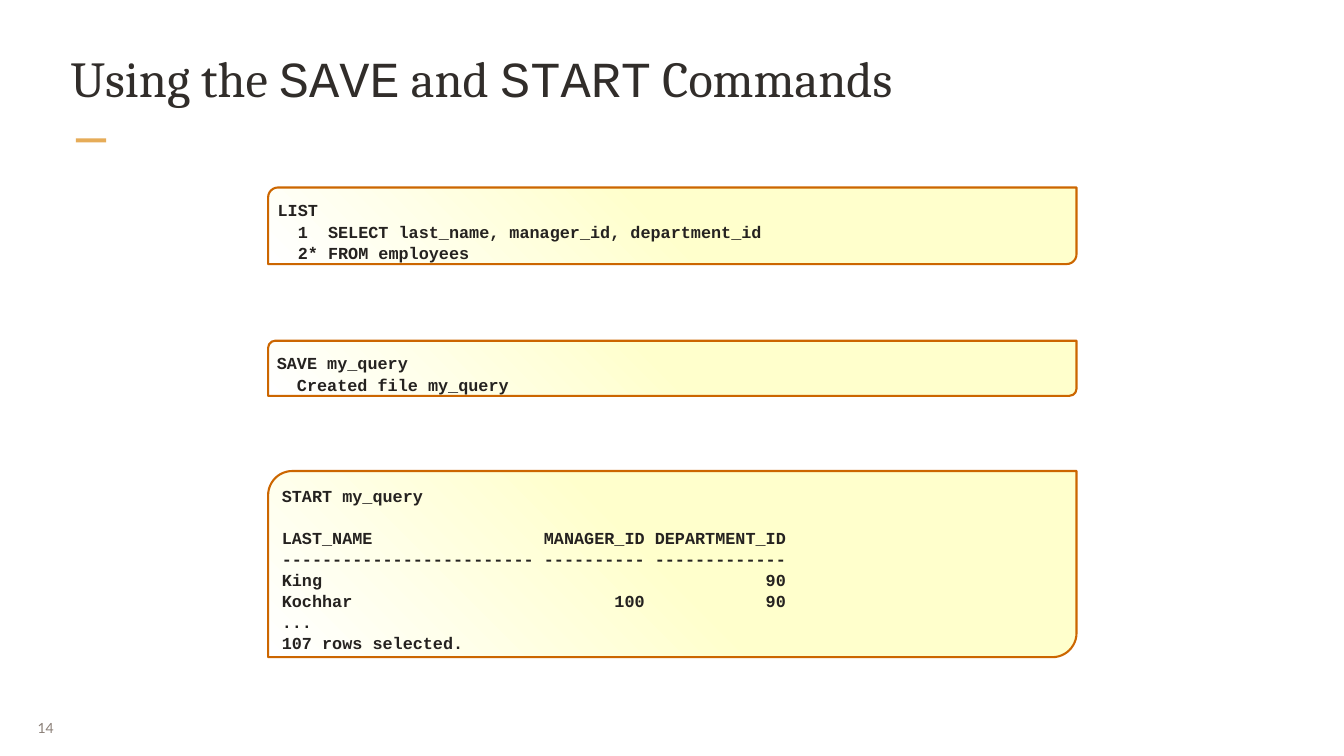
from copy import deepcopy

from pptx import Presentation, util as u
from pptx.dml.color import RGBColor
from pptx.enum import shapes, text

MONO = "Courier New"
SERIF = "Cambria"
INK = "312D2A"

# Code panels: top, height, lines (text, points of space before)
PANELS = [
    (2.79, 1.14, [
        ("LIST", 0),
        ("  1  SELECT last_name, manager_id, department_id", 0),
        ("  2* FROM employees", 0),
    ]),
    (5.07, 0.82, [
        ("SAVE my_query", 0),
        ("  Created file my_query", 0),
    ]),
    (7.01, 2.77, [
        ("START my_query", 0),
        ("LAST_NAME                 MANAGER_ID DEPARTMENT_ID", 21.5),
        ("------------------------- ---------- -------------", 0),
        ("King                                            90", 0),
        ("Kochhar                          100            90", 0),
        ("...", 0),
        ("107 rows selected.", 0),
    ]),
]


def rgb(code):
    return RGBColor.from_string(code)


def write(para, words, font=MONO, size=18, color="252220", bold=False):
    run = para.add_run()
    run.text = words
    run.font.name = font
    run.font.size = u.Pt(size)
    run.font.bold = bold
    run.font.color.rgb = rgb(color)


def inset(frame, left, top, right, bottom):
    frame.margin_left = u.Inches(left)
    frame.margin_top = u.Inches(top)
    frame.margin_right = u.Inches(right)
    frame.margin_bottom = u.Inches(bottom)


def place(shape, *box):
    shape.left, shape.top, shape.width, shape.height = map(u.Inches, box)


def add_shape(slide, kind, *box):
    shape = slide.shapes.add_shape(kind, *map(u.Inches, box))
    shape.shadow.inherit = False
    return shape


def add_title(slide, parts):
    title = slide.shapes.title
    place(title, 1.02, 0.67, 17.96, 1.28)
    frame = title.text_frame
    frame.auto_size = text.MSO_AUTO_SIZE.NONE
    frame.vertical_anchor = text.MSO_ANCHOR.TOP
    inset(frame, 0.03, 0.03, 0.03, 0.03)
    para = frame.paragraphs[0]
    para.alignment = text.PP_ALIGN.LEFT
    for words, font in parts:
        write(para, words, font=font, size=54, color=INK)


def add_accent(slide):
    bar = add_shape(slide, shapes.MSO_SHAPE.RECTANGLE, 1.13, 2.06, 0.45, 0.06)
    bar.fill.solid()
    bar.fill.fore_color.rgb = rgb("E6AC58")
    bar.line.fill.background()


def add_number(slide, number):
    box = slide.shapes.add_textbox(*map(u.Inches, (0.43, 10.54, 0.65, 0.58)))
    frame = box.text_frame
    frame.word_wrap = False
    frame.vertical_anchor = text.MSO_ANCHOR.MIDDLE
    inset(frame, 0.13, 0.07, 0.13, 0.07)
    para = frame.paragraphs[0]
    para.alignment = text.PP_ALIGN.JUSTIFY
    write(para, number, font="Lato", size=15, color="8B8078")


def shade(shape):
    """Yellow to the middle, then fading to white at the lower left."""
    fill = shape.fill
    fill.gradient()
    fill.gradient_angle = 225
    for stop, color in zip(fill.gradient_stops, ("FFFFCC", "FFFFFF")):
        stop.color.rgb = rgb(color)
    # Third stop, halfway
    first = shape._element.spPr.gradFill.gsLst[0]
    middle = deepcopy(first)
    middle.set("pos", "50000")
    first.addnext(middle)


def add_panel(slide, top, height, lines):
    kind = shapes.MSO_SHAPE.ROUND_2_DIAG_RECTANGLE
    panel = add_shape(slide, kind, 3.99, top, 12.03, height)
    panel.adjustments[0] = 0.13
    panel.adjustments[1] = 0
    shade(panel)
    panel.line.color.rgb = rgb("CC6600")
    panel.line.width = u.Pt(2.25)

    frame = panel.text_frame
    frame.word_wrap = True
    frame.auto_size = text.MSO_AUTO_SIZE.SHAPE_TO_FIT_TEXT
    frame.vertical_anchor = text.MSO_ANCHOR.MIDDLE
    inset(frame, 0.1, 0.15, 0.02, 0)
    for i, (words, gap) in enumerate(lines):
        para = frame.add_paragraph() if i else frame.paragraphs[0]
        para.alignment = text.PP_ALIGN.LEFT
        para.line_spacing = 1.05
        if gap:
            para.space_before = u.Pt(gap)
        write(para, words, bold=True)


def main():
    deck = Presentation()
    deck.slide_width = u.Inches(20)
    deck.slide_height = u.Inches(11.25)
    slide = deck.slides.add_slide(deck.slide_layouts[5])

    # Heading and page furniture
    add_accent(slide)
    add_number(slide, "14")
    add_title(slide, [
        ("Using the ", SERIF),
        ("SAVE", MONO),
        (" and ", SERIF),
        ("START", MONO),
        (" Commands", SERIF),
    ])

    # Code and its output
    for top, height, lines in PANELS:
        add_panel(slide, top, height, lines)

    deck.save("out.pptx")


if __name__ == "__main__":
    main()
